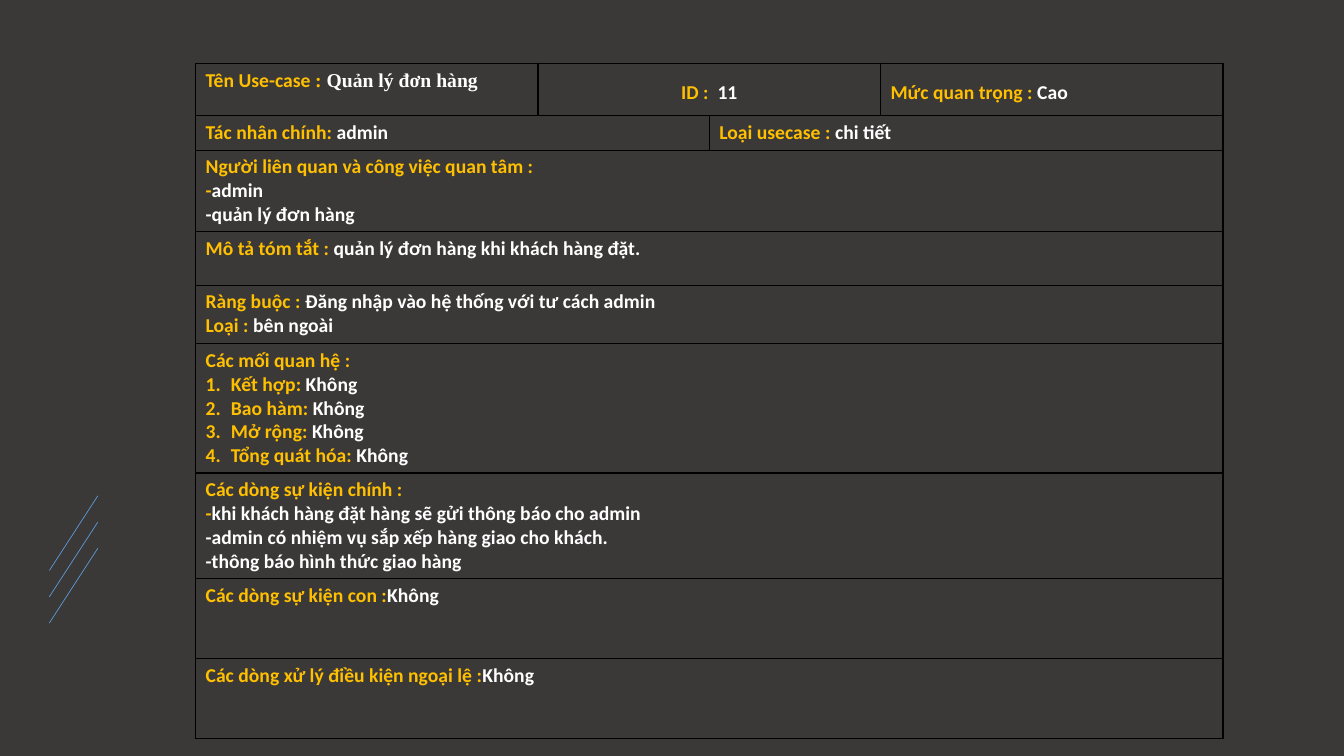
import pptx
import pptx.dml.color
import pptx.enum.shapes
import pptx.enum.text
import pptx.oxml
import pptx.oxml.ns
import pptx.util
from dataclasses import dataclass
from lxml import etree

Inches = pptx.util.Inches
qn = pptx.oxml.ns.qn


@dataclass
class Theme:
    back: str = "3B3838"
    label: str = "FFC000"
    value: str = "FFFFFF"
    rule: str = "000000"
    accent: str = "5B9BD5"
    font: str = "Calibri"
    serif: str = "Times New Roman"
    size: int = 14
    border: float = 1
    stroke: float = 0.5


@dataclass
class Para:
    runs: list
    align: object = None
    space: object = None
    number: bool = False


theme = Theme()
CENTER = pptx.enum.text.PP_ALIGN.CENTER
NONE = "Không"


def color(name):
    return pptx.dml.color.RGBColor.from_string(name)


def label(text, font=theme.font):
    return text, theme.label, font


def value(text, font=theme.font):
    return text, theme.value, font


def pair(name, text, **style):
    return Para([label(name), value(text)], **style)


# Table content: each row has a height and cells of (first column, span, paragraphs)
COLS = [3.4, 1.7, 1.7, 3.4]
LINKS = ["Kết hợp: ", "Bao hàm: ", "Mở rộng: ", "Tổng quát hóa: "]
ROWS = [
    (0.52, [
        (0, 1, [Para([label("Tên Use-case "), label(": ", theme.serif),
                      value("Quản lý đơn hàng", theme.serif)])]),
        (1, 2, [pair("ID :  ", "11", align=CENTER, space=1.5)]),
        (3, 1, [pair("Mức quan trọng :", " Cao", space=1.5)])]),
    (0.34, [
        (0, 2, [pair("Tác nhân chính: ", "admin")]),
        (2, 2, [pair("Loại usecase : ", "chi tiết")])]),
    (0.81, [(0, 4, [
        Para([label("Người liên quan và công việc quan tâm :")]),
        pair("-", "admin"),
        Para([value("-quản lý đơn hàng")])])]),
    (0.53, [(0, 4, [
        pair("Mô tả tóm tắt : ", "quản lý đơn hàng khi khách hàng đặt.")])]),
    (0.58, [(0, 4, [
        pair("Ràng buộc : ", "Đăng nhập vào hệ thống với tư cách admin"),
        pair("Loại : ", "bên ngoài")])]),
    (1.28, [(0, 4, [Para([label("Các mối quan hệ :")])]
             + [pair(name, NONE, number=True) for name in LINKS])][:1]),
    (1.05, [(0, 4, [
        Para([label("Các dòng sự kiện chính :")]),
        pair("-", "khi khách hàng đặt hàng sẽ gửi thông báo cho admin"),
        Para([value("-admin có nhiệm vụ sắp xếp hàng giao cho khách.")]),
        Para([value("-thông báo hình thức giao hàng")])])]),
    (0.79, [(0, 4, [pair("Các dòng sự kiện con :", NONE)])]),
    (0.79, [(0, 4, [pair("Các dòng xử lý điều kiện ngoại lệ :", NONE)])]),
]
# The first row is split 1-1-1 and the second 1-1 over four unequal columns
ROWS = [row for row in ROWS]


def frame(cell):
    """Draw all four borders and clear the fill."""
    props = cell._tc.get_or_add_tcPr()
    for side in ("lnL", "lnR", "lnT", "lnB"):
        line = etree.SubElement(props, qn("a:" + side),
                                w=str(pptx.util.Pt(theme.border)))
        fill = etree.SubElement(line, qn("a:solidFill"))
        etree.SubElement(fill, qn("a:srgbClr"), val=theme.rule)
    cell.fill.background()


def write(par, item):
    """Fill one paragraph with its coloured runs."""
    for text, tint, font in item.runs:
        run = par.add_run()
        run.text = text
        run.font.size = pptx.util.Pt(theme.size)
        run.font.bold = True
        run.font.name = font
        run.font.color.rgb = color(tint)
    if item.align is not None:
        par.alignment = item.align
    if item.space:
        par.line_spacing = item.space
    if item.number:
        props = par._p.get_or_add_pPr()
        props.set("marL", str(Inches(0.25)))
        props.set("indent", str(Inches(-0.25)))
        etree.SubElement(props, qn("a:buFont"), typeface="+mj-lt")
        etree.SubElement(props, qn("a:buAutoNum"), type="arabicPeriod")


def add_case(slide, left, top, width):
    """Use-case table."""
    high = sum(row[0] for row in ROWS)
    table = slide.shapes.add_table(
        len(ROWS), len(COLS), Inches(left), Inches(top),
        Inches(width), Inches(high)).table
    table.first_row = table.horz_banding = False
    for col, part in zip(table.columns, COLS):
        col.width = Inches(width * part / sum(COLS))
    for cell in table.iter_cells():
        frame(cell)
    for r, (tall, cells) in enumerate(ROWS):
        table.rows[r].height = Inches(tall)
        for c, span, items in cells:
            cell = table.cell(r, c)
            if span > 1:
                cell.merge(table.cell(r, c + span - 1))
            body = cell.text_frame
            for i, item in enumerate(items):
                write(body.add_paragraph() if i else body.paragraphs[0], item)


def add_lines(slide, left, top, width, height, count=3, step=0.26):
    """Parallel slanted accent lines."""
    group = slide.shapes.add_group_shape()
    rise = height - step * (count - 1)
    for i in range(count):
        high = top + i * step
        line = group.shapes.add_connector(
            pptx.enum.shapes.MSO_CONNECTOR.STRAIGHT,
            Inches(left), Inches(high + rise), Inches(left + width), Inches(high))
        line.line.color.rgb = color(theme.accent)
        line.line.width = pptx.util.Pt(theme.stroke)
        etree.SubElement(line._element.spPr, qn("a:effectLst"))


deck = pptx.Presentation()
deck.slide_width, deck.slide_height = Inches(13.33), Inches(7.5)
slide = deck.slides.add_slide(deck.slide_layouts[6])
slide.background.fill.solid()
slide.background.fill.fore_color.rgb = color(theme.back)
add_lines(slide, 0.49, 4.92, 0.48, 1.26)
add_case(slide, 1.94, 0.63, 10.19)
deck.save("out.pptx")
